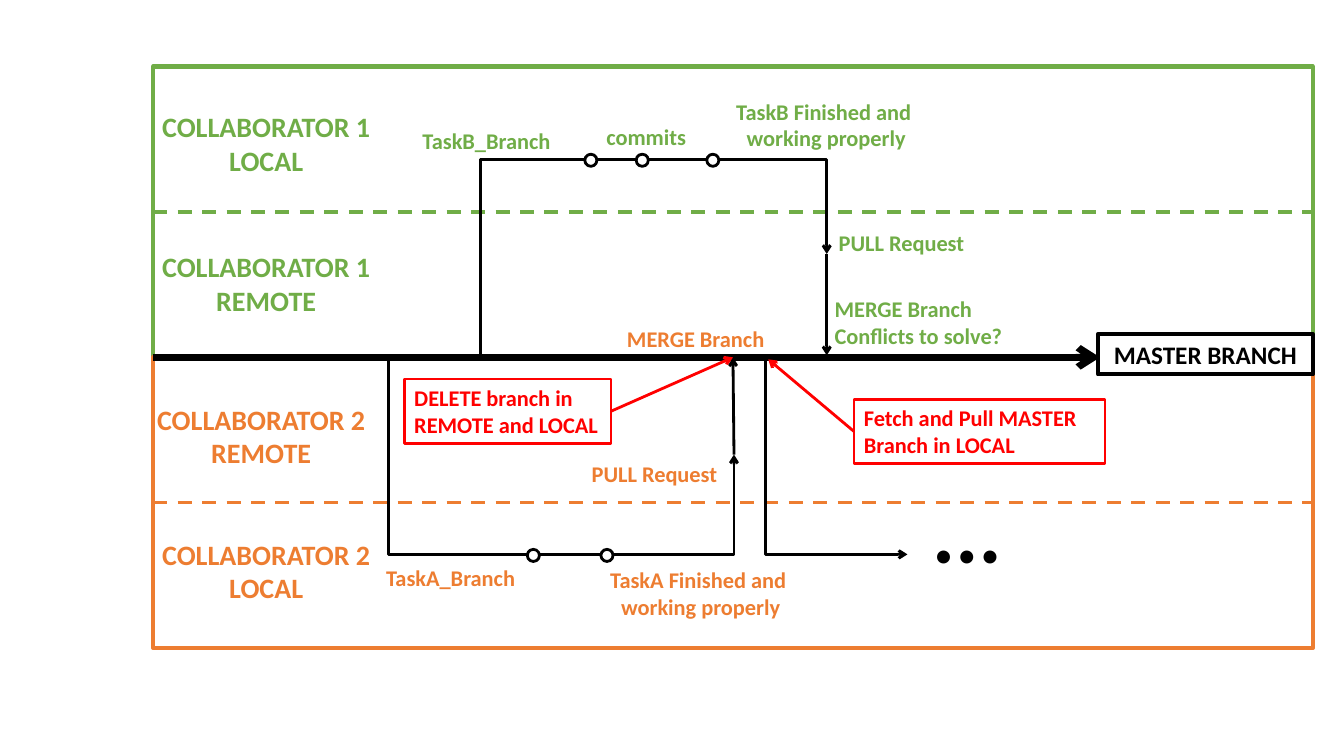
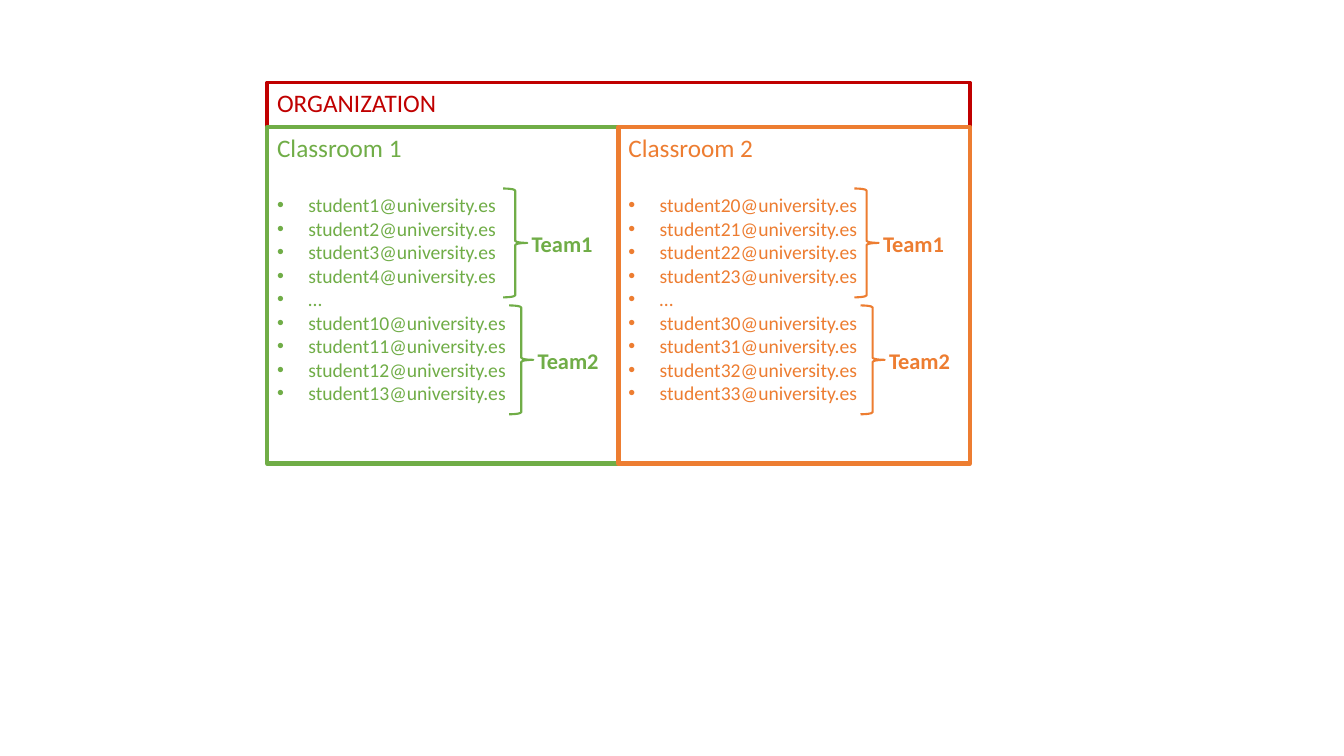
from pptx import Presentation
from pptx.dml.color import RGBColor
from pptx.enum import dml, shapes, text
from pptx.oxml import ns, xmlchemy
from pptx.util import Inches, Pt

GREEN = RGBColor(0x70, 0xAD, 0x47)
ORANGE = RGBColor(0xED, 0x7D, 0x31)
RED = RGBColor(0xFF, 0x00, 0x00)
CRIMSON = RGBColor(0xC0, 0x00, 0x00)
BLACK = RGBColor(0, 0, 0)
WHITE = RGBColor(0xFF, 0xFF, 0xFF)
FONT = "Calibri"
LEFT, CENTER = text.PP_ALIGN.LEFT, text.PP_ALIGN.CENTER
TOP, MIDDLE = text.MSO_ANCHOR.TOP, text.MSO_ANCHOR.MIDDLE
RECT = shapes.MSO_SHAPE.RECTANGLE


def add_child(parent, tag, **attributes):
    child = xmlchemy.OxmlElement(tag)
    for name, value in attributes.items():
        child.set(name, value)
    parent.append(child)


def stroke(outline, color, width, dash=None, arrow=False):
    outline.line.color.rgb = color
    outline.line.width = Pt(width)
    if dash:
        outline.line.dash_style = dash
    properties = outline._element.spPr
    if arrow:
        add_child(properties.find(ns.qn("a:ln")), "a:tailEnd", type="arrow")
    add_child(properties, "a:effectLst")


def write(frame, lines, color, size=16, bold=True, align=LEFT, anchor=TOP,
          wrap=True, bullet=False):
    frame.word_wrap = wrap
    frame.vertical_anchor = anchor
    for line in lines:
        if frame.paragraphs[0].runs:
            paragraph = frame.add_paragraph()
        else:
            paragraph = frame.paragraphs[0]
        paragraph.alignment = align
        run = paragraph.add_run()
        run.text = line
        run.font.name = FONT
        run.font.size = Pt(size)
        run.font.bold = bold
        run.font.color.rgb = color
        if bullet:
            properties = paragraph._p.get_or_add_pPr()
            indent = Inches(0.31)
            properties.set("marL", str(indent))
            properties.set("indent", str(-indent))
            add_child(properties, "a:buFont", typeface="Arial")
            add_child(properties, "a:buChar", char="•")


class Region:
    def __init__(self, slide, left, top, width, height):
        self.items = slide.shapes
        self.left, self.top = left, top
        self.width, self.height = width, height

    def point(self, x, y):
        return Inches(self.left + x), Inches(self.top + y)

    def shape(self, preset, x, y, width, height, color, weight, fill=None):
        item = self.items.add_shape(
            preset, *self.point(x, y), Inches(width), Inches(height))
        stroke(item, color, weight)
        if fill is None:
            item.fill.background()
        else:
            item.fill.solid()
            item.fill.fore_color.rgb = fill
        return item

    def label(self, x, y, width, height, lines, color, **style):
        box = self.items.add_textbox(
            *self.point(x, y), Inches(width), Inches(height))
        write(box.text_frame, lines, color, **{"wrap": False, **style})

    def line(self, start, end, color, weight, **style):
        connector = self.items.add_connector(
            shapes.MSO_CONNECTOR.STRAIGHT, *self.point(*start), *self.point(*end))
        stroke(connector, color, weight, **style)

    def route(self, *stops):
        start, *rest = [self.point(*stop) for stop in stops]
        builder = self.items.build_freeform(*start)
        builder.add_line_segments(rest, close=False)
        path = builder.convert_to_shape()
        path.fill.background()
        stroke(path, BLACK, 2, arrow=True)


def draw_lanes(area):
    half = area.height / 2
    for index, color in enumerate((GREEN, ORANGE)):
        top = index * half
        divider = top + half / 2
        area.line((0, divider), (area.width, divider), color, 2.5,
                  dash=dml.MSO_LINE.DASH)
        area.shape(RECT, 0, top, area.width, half, color, 3)
    area.line((0, half), (9.39, half), BLACK, 5, arrow=True)
    for x, y, number, place, color in (
            (-0.02, 0.38, 1, "LOCAL", GREEN), (-0.02, 1.77, 1, "REMOTE", GREEN),
            (-0.07, 3.28, 2, "REMOTE", ORANGE), (-0.02, 4.62, 2, "LOCAL", ORANGE)):
        area.label(x, y, 2.28, 0.77, (f"COLLABORATOR {number}", place), color,
                   size=20, align=CENTER)


def draw_commits(area, centers, y):
    size = 0.12
    for x in centers:
        area.shape(shapes.MSO_SHAPE.OVAL, x - size / 2, y - size / 2, size, size,
                   BLACK, 2, WHITE)


def draw_task_a(area, master):
    work, pull, end = 4.84, 3.85, 5.76
    area.route((2.33, master), (2.33, work), (end, work), (end, pull))
    area.line((end, pull), (end - 0.01, master), BLACK, 2, arrow=True)
    draw_commits(area, (3.77, 4.5), work + 0.01)
    area.label(2.2, 4.89, 1.5, 0.37, ("TaskA_Branch",), ORANGE, align=CENTER)
    area.label(4.42, 4.91, 2.02, 0.64, ("TaskA Finished and ", "working properly"),
               ORANGE, align=CENTER)
    area.label(4.25, 3.86, 1.46, 0.37, ("PULL Request",), ORANGE)
    area.label(4.6, 2.52, 1.58, 0.37, ("MERGE Branch",), ORANGE)


def draw_task_b(area, master):
    work, pull, end = 0.92, 1.86, 6.68
    area.route((3.25, master), (3.25, work), (end, work), (end, pull))
    area.line((end, pull), (end, master - 0.02), BLACK, 2, arrow=True)
    draw_commits(area, (4.34, 4.85, 5.55), work + 0.01)
    area.label(2.56, 0.55, 1.49, 0.37, ("TaskB_Branch",), GREEN, align=CENTER)
    area.label(4.39, 0.51, 1, 0.37, ("commits",), GREEN, align=CENTER)
    area.label(5.67, 0.26, 2.01, 0.64, ("TaskB Finished and ", "working properly"),
               GREEN, align=CENTER)
    area.label(6.7, 1.56, 1.46, 0.37, ("PULL Request",), GREEN)
    area.label(6.66, 2.22, 1.89, 0.64, ("MERGE Branch", "Conflicts to solve?"), GREEN)


def draw_followup(area, master):
    area.route((6.07, master), (6.07, 4.84), (7.48, 4.84))
    area.label(7.48, 4.31, 1.18, 1.05, ("● ● ●",), BLACK, size=20, bold=False,
               align=CENTER, anchor=MIDDLE, wrap=True)
    for x, y, width, lines, start, end in (
            (6.95, 3.3, 2.49, ("Fetch and Pull MASTER ", "Branch in LOCAL"),
             (6.95, 3.62), (6.1, master + 0.02)),
            (2.49, 3.1, 2.05, ("DELETE branch in ", "REMOTE and LOCAL"),
             (4.54, 3.42), (5.75, master))):
        note = area.shape(RECT, x, y, width, 0.64, RED, 2)
        write(note.text_frame, lines, RED, anchor=MIDDLE)
        area.line(start, end, RED, 2, arrow=True)


def draw_workflow(area):
    master = area.height / 2
    draw_lanes(area)
    draw_task_a(area, master)
    draw_task_b(area, master)
    draw_followup(area, master)
    branch = area.shape(RECT, 9.37, master - 0.23, 2.13, 0.4, BLACK, 3, WHITE)
    write(branch.text_frame, ("MASTER BRANCH",), BLACK, size=18, align=CENTER,
          anchor=MIDDLE)


def draw_classroom(area, number, first_students, color):
    room = area.shape(RECT, 0, 0, area.width, area.height, color, 3)
    first, second = [[f"student{start + step}@university.es" for step in range(4)]
                     for start in first_students]
    frame = room.text_frame
    write(frame, (f"Classroom {number}",), color, size=18, bold=False)
    frame.paragraphs[0].space_after = Pt(22)
    write(frame, first + ["…"] + second, color, size=14, bold=False, bullet=True)
    for team in range(2):
        x, y = 2.34 + 0.06 * team, 0.61 + 1.16 * team
        area.shape(shapes.MSO_SHAPE.RIGHT_BRACE, x, y, 0.24, 1.08, color, 1.5)
        area.label(x + 0.18, y + 0.36, 0.81, 0.37, (f"Team{team + 1}",), color,
                   align=CENTER)


def draw_organization(slide, area):
    organization = area.shape(RECT, 0, 0, area.width, area.height, CRIMSON, 2.5)
    write(organization.text_frame, ("ORGANIZATION",), CRIMSON, size=18, bold=False)
    width = area.width / 2
    for index, (first_students, color) in enumerate(
            (((1, 10), GREEN), ((20, 30), ORANGE))):
        room = Region(slide, area.left + index * width, area.top + 0.44, width, 3.34)
        draw_classroom(room, index + 1, first_students, color)


deck = Presentation()
deck.slide_width, deck.slide_height = Inches(13.33), Inches(7.5)
blank = deck.slide_layouts[6]
workflow = deck.slides.add_slide(blank)
draw_workflow(Region(workflow, 1.52, 0.66, 11.5, 5.77))
classes = deck.slides.add_slide(blank)
draw_organization(classes, Region(classes, 2.65, 0.82, 6.97, 3.77))
deck.save("out.pptx")
